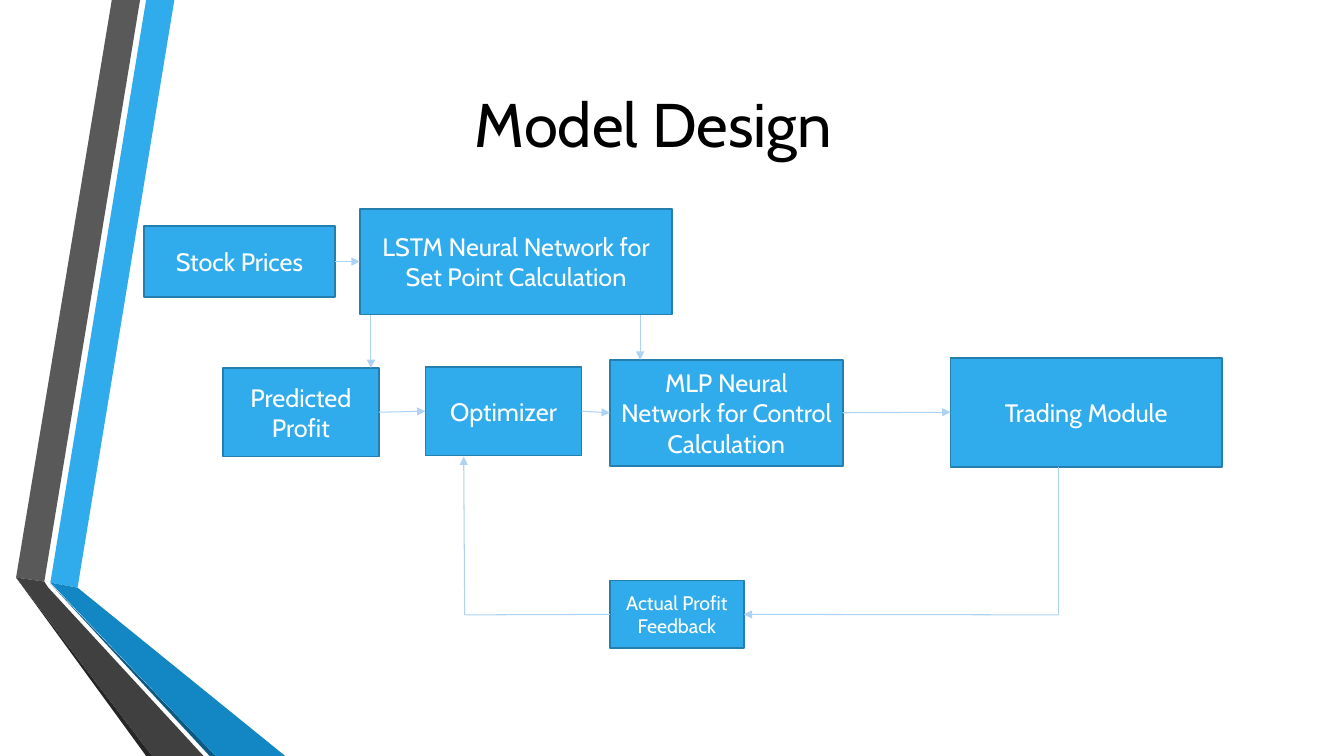
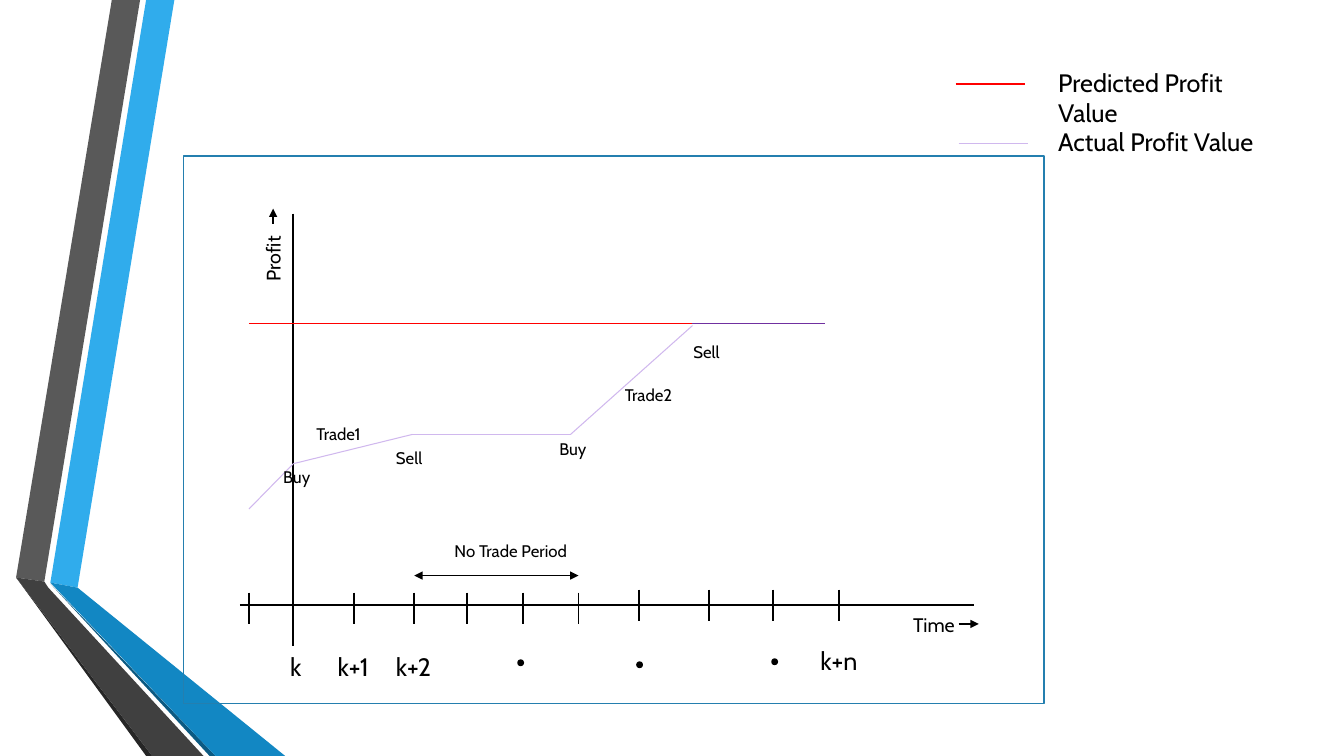
"""Two slides on a trading model: its block design and its profit timeline."""
from lxml import etree
from pptx import Presentation
from pptx.dml.color import RGBColor
from pptx.enum.shapes import MSO_CONNECTOR, MSO_SHAPE
from pptx.enum.text import MSO_ANCHOR, MSO_AUTO_SIZE, PP_ALIGN
from pptx.oxml.ns import qn
from pptx.util import Inches, Pt

RECT, DOT = MSO_SHAPE.RECTANGLE, MSO_SHAPE.OVAL
STRAIGHT = MSO_CONNECTOR.STRAIGHT
LEFT, CENTER = PP_ALIGN.LEFT, PP_ALIGN.CENTER
TOP, MIDDLE = MSO_ANCHOR.TOP, MSO_ANCHOR.MIDDLE
FIXED = MSO_AUTO_SIZE.NONE

BLACK = RGBColor(0x00, 0x00, 0x00)
WHITE = RGBColor(0xFF, 0xFF, 0xFF)
BLUE = RGBColor(0x30, 0xAC, 0xEC)
EDGE = RGBColor(0x24, 0x7F, 0xAF)
PALE = RGBColor(0xAE, 0xD2, 0xF4)
RED = RGBColor(0xFF, 0x00, 0x00)
LILAC = RGBColor(0xD0, 0xB8, 0xEE)
PURPLE = RGBColor(0x70, 0x30, 0xA0)
GRAY = RGBColor(0x59, 0x59, 0x59)
COAL = RGBColor(0x26, 0x26, 0x26)
NAVY = RGBColor(0x0C, 0x5A, 0x82)
DEEP = RGBColor(0x12, 0x87, 0xC3)
DARK = RGBColor(0x40, 0x40, 0x40)

FONT = "Cabin"
COLS, ROWS = 133.33, 75
CELL = Inches(0.1)
THIN, THICK = 0.75, 1.25

BANDS = [
    (BLUE, [(5, 57.8), (7.7, 58.3), (17.3, 0), (14.5, 0)]),
    (GRAY, [(13.9, 0), (11.1, 0), (1.6, 57.3), (4.4, 57.7)]),
    (COAL, [(1.6, 57.3), (14.5, 75), (15.1, 75)]),
    (NAVY, [(5, 57.9), (20.8, 75), (21.4, 75)]),
    (DEEP, [(5, 57.8), (21.4, 75), (28.3, 75), (7.7, 58.3)]),
    (DARK, [(20.2, 75), (4.8, 58.3), (4.4, 57.7), (1.6, 57.3), (15.1, 75)]),
]


def grid(*cells):
    return [round(cell * CELL) for cell in cells]


class Deck:
    def __init__(self):
        self.prs = Presentation()
        self.prs.slide_width, self.prs.slide_height = grid(COLS, ROWS)
        self.slide = None

    def add(self, layout):
        self.slide = self.prs.slides.add_slide(self.prs.slide_layouts[layout])

    def bands(self):
        group = self.slide.shapes.add_group_shape()
        for color, points in BANDS:
            dots = [grid(*point) for point in points]
            outline = group.shapes.build_freeform(*dots[0])
            outline.add_line_segments(dots[1:], close=True)
            self.paint(outline.convert_to_shape(), color)
        self.prs.slide_master.shapes.element.insert(2, group.element)

    def paint(self, shape, fill=None, edge=None):
        shape.shadow.inherit = False
        for part, color in ((shape.fill, fill), (shape.line.fill, edge)):
            if color is None:
                part.background()
            else:
                part.solid()
                part.fore_color.rgb = color
        if edge is not None:
            shape.line.width = Pt(THICK)

    def letter(self, shape, text, size, color, align, anchor):
        frame = shape.text_frame
        frame.text = text
        frame.word_wrap = True
        frame.auto_size = FIXED
        frame.vertical_anchor = anchor
        for para in frame.paragraphs:
            para.alignment = align
            for run in para.runs:
                run.font.name = FONT
                run.font.size = Pt(size)
                run.font.color.rgb = color

    def title(self, text, *place):
        shape = self.slide.shapes.title
        shape.left, shape.top, shape.width, shape.height = grid(*place)
        self.letter(shape, text, 44, BLACK, LEFT, TOP)

    def shape(self, kind, place, fill=None, edge=None):
        shape = self.slide.shapes.add_shape(kind, *grid(*place))
        self.paint(shape, fill, edge)
        return shape

    def box(self, text, *place, size=18):
        shape = self.shape(RECT, place, BLUE, EDGE)
        self.letter(shape, text, size, WHITE, CENTER, MIDDLE)
        return shape

    def label(self, text, *place, size=12, turn=0):
        shape = self.slide.shapes.add_textbox(*grid(*place))
        self.letter(shape, text, size, BLACK, LEFT, TOP)
        shape.text_frame.margin_right = 0
        shape.rotation = turn

    def line(self, *ends, color=BLACK, width=THICK, tips=()):
        wire = self.slide.shapes.add_connector(STRAIGHT, *grid(*ends))
        wire.line.color.rgb = color
        wire.line.width = Pt(width)
        props = wire.element.spPr
        for tip in tips:
            etree.SubElement(props.find(qn("a:ln")), qn(tip), type="triangle")
        etree.SubElement(props, qn("a:effectLst"))
        return wire

    def flow(self, *ends, start=None, stop=None, arrow=True):
        tips = ["a:tailEnd"] if arrow else []
        wire = self.line(*ends, color=PALE, width=THIN, tips=tips)
        if start:
            wire.begin_connect(*start)
        if stop:
            wire.end_connect(*stop)


def design(deck):
    deck.add(5)
    deck.bands()
    deck.title("Model Design", 46.1, 8, 43.4, 8.4)
    stock = deck.box("Stock Prices", 14.3, 22.4, 18.9, 7.1)
    lstm = deck.box("LSTM Neural Network for Set Point Calculation",
                    35.7, 20.7, 31, 10.5)
    profit = deck.box("Predicted Profit", 22.1, 36.5, 15.5, 8.8)
    tuner = deck.box("Optimizer", 42.2, 36.4, 15.5, 8.8)
    mlp = deck.box("MLP Neural Network for Control Calculation",
                   60.5, 35.7, 23.1, 10.5)
    trade = deck.box("Trading Module", 94.3, 35.5, 26.9, 10.8)
    back = deck.box("Actual Profit\nFeedback", 60.5, 57.6, 13.3, 6.7, size=14)

    for one, two in ((stock, lstm), (profit, tuner), (tuner, mlp), (mlp, trade)):
        deck.flow(0, 0, 0, 0, start=(one, 3), stop=(two, 1))
    deck.flow(36.8, 31.3, 36.8, 36.5)
    deck.flow(63.5, 31.3, 63.5, 35.7)
    deck.flow(105, 46.3, 105, 61, arrow=False)
    deck.flow(105, 61, 73.8, 61, stop=(back, 3))
    deck.flow(60.5, 61, 46.1, 61, start=(back, 1), arrow=False)
    deck.flow(46.1, 61, 46, 45.3)


def timeline(deck):
    deck.add(6)
    deck.shape(RECT, (18.2, 15.5, 85.4, 54.3), edge=EDGE)

    deck.line(29.1, 21.2, 29.1, 64.1)
    deck.line(23.8, 60, 96.6, 60)
    for x in (24.7, 35.1, 41.1, 46.3, 51.9, 57.4, 63.4, 70.3, 76.7, 83.2):
        top = 58.8 if x < 60 else 58.5
        deck.line(x, top, x, top + 3.1)
    deck.label("Profit", 23, 23.1, 8.2, 3.4, size=14, turn=270)
    deck.label("Time", 89.6, 60.3, 6.5, 3.4, size=14)
    deck.line(27.1, 22.2, 27.1, 20.7, tips=["a:tailEnd"])
    deck.line(95.1, 61.9, 97.1, 61.9, tips=["a:tailEnd"])

    deck.label("Predicted Profit Value", 104, 6.2, 23, 4, size=18)
    deck.label("Actual Profit Value", 104, 12, 23, 4, size=18)
    deck.line(94.8, 8.3, 101.7, 8.3, color=RED)
    deck.line(95.1, 14.2, 102, 14.2, color=LILAC, width=THIN)

    deck.line(24.7, 32.1, 81.8, 32.1, color=RED)
    curve = [(24.7, 50.5), (29.1, 46), (40.9, 43.1), (56.6, 43.1), (68.7, 32.3)]
    for one, two in zip(curve, curve[1:]):
        deck.line(*one, *two, color=LILAC, width=THIN)
    deck.line(68.7, 32.1, 81.8, 32.1, color=PURPLE)

    for text, x, y, w in (("k", 27.8, 64.1, 2.6), ("k+1", 32.5, 64.1, 6.5),
                          ("k+2", 38.3, 64.1, 6.5), ("k+n", 80.4, 63.5, 8.1)):
        deck.label(text, x, y, w, 4, size=18)
    for x, y in ((51.4, 65.5), (63.2, 65.7), (76.6, 65.4)):
        deck.shape(DOT, (x, y, 0.5, 0.5), BLACK, BLACK)

    for text, x, y, w in (("Buy", 27.1, 45.8, 5), ("Sell", 38.3, 43.9, 5),
                          ("Buy", 54.5, 43, 5), ("Sell", 67.8, 33.4, 5),
                          ("Trade1", 30.4, 41.5, 6.7),
                          ("Trade2", 61, 37.7, 6.7),
                          ("No Trade Period", 44.1, 53.2, 13.2)):
        deck.label(text, x, y, w, 3)
    deck.line(41.1, 57.1, 57.4, 57.1, tips=["a:headEnd", "a:tailEnd"])


def main():
    deck = Deck()
    design(deck)
    timeline(deck)
    deck.prs.save("out.pptx")


if __name__ == "__main__":
    main()
